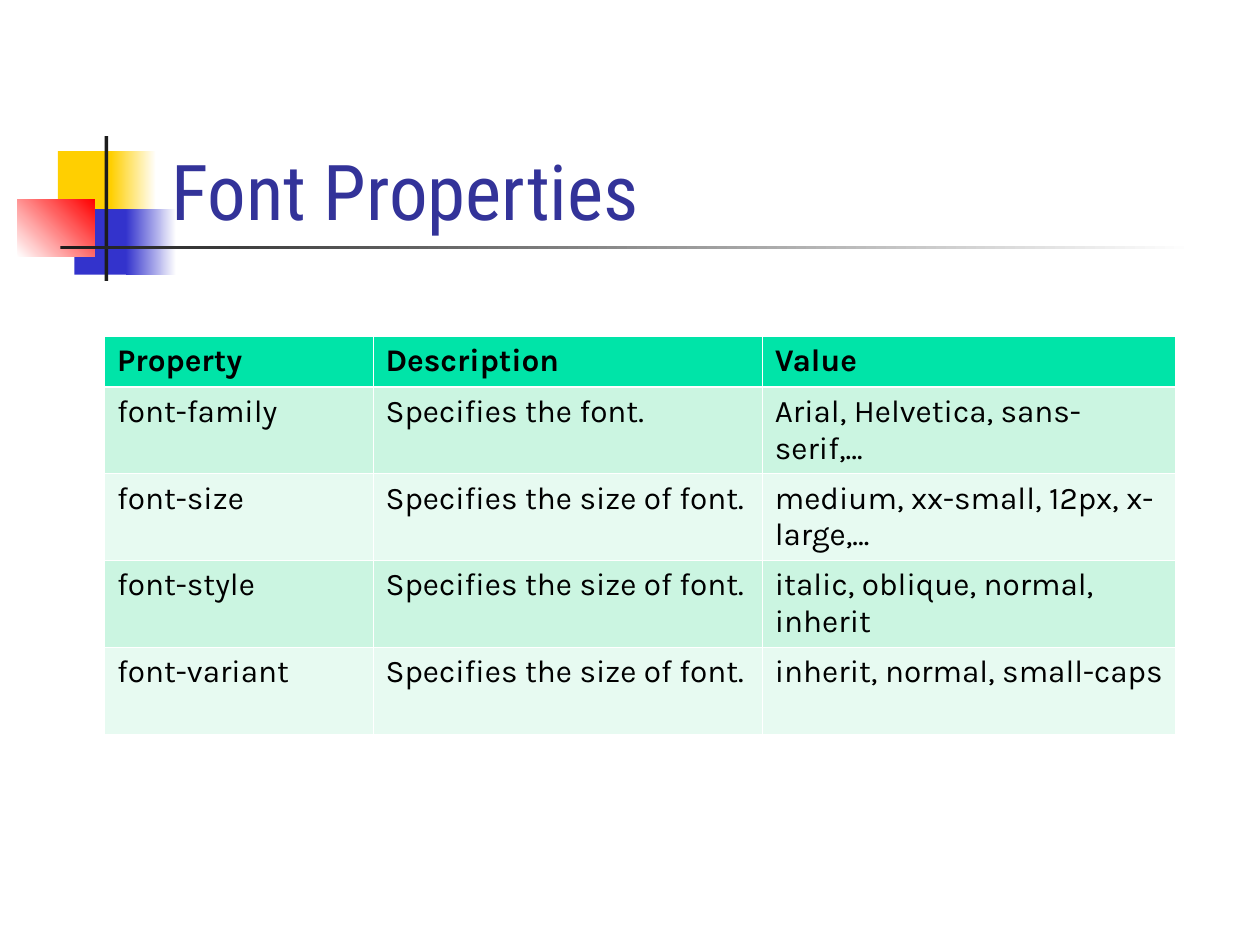
from dataclasses import dataclass

import pptx
import pptx.dml.color
import pptx.enum.shapes
import pptx.enum.text
import pptx.oxml
import pptx.oxml.ns
import pptx.util
from pptx.util import Inches

COLORS = {
    "yellow": "FFCF01", "blue": "3333CC", "red": "FF0000", "dark": "1C1C1C",
    "white": "FFFFFF", "title": "333399", "text": "000000",
    "header": "00E4A8", "odd": "CBF5E1", "even": "E7FAF1",
}
TITLE_FONT = "Roboto Condensed"
BODY_FONT = "Karla"
THIN, THICK = 0.45, 1.47


@dataclass
class Block:
    """A decorative rectangle, shaded from color to fade when fade is set."""
    left: float
    top: float
    width: float
    height: float
    color: str
    fade: str = ""
    angle: float = 0


BLOCKS = [
    Block(0.46, 1.2, 0.48, 0.52, "yellow"),
    Block(0.88, 1.2, 0.36, 0.52, "yellow", "white"),
    Block(0.59, 1.66, 0.46, 0.52, "blue"),
    Block(1, 1.66, 0.4, 0.52, "blue", "white"),
    Block(0.14, 1.58, 0.61, 0.46, "white", "red", 45),
    Block(0.83, 1.08, 0.03, 1.15, "dark"),
    Block(0.48, 1.95, 9, 0.03, "dark", "white"),
]

ROWS = [
    ("Property", "Description", "Value"),
    ("font-family", "Specifies the font.", "Arial, Helvetica, sans-serif,…"),
    ("font-size", "Specifies the size of font.", "medium, xx-small, 12px, x-large,…"),
    ("font-style", "Specifies the size of font.", "italic, oblique, normal, inherit"),
    ("font-variant", "Specifies the size of font.", "inherit, normal, small-caps"),
]
COLUMN_WIDTHS = [2.13, 3.09, 3.28]
ROW_HEIGHTS = [0.4] + [0.69] * 4


def rgb(name: str) -> pptx.dml.color.RGBColor:
    return pptx.dml.color.RGBColor.from_string(COLORS[name])


def style_text(p, font: str, size: float, color: str, bold: bool = False) -> None:
    for r in p.runs:
        r.font.name = font
        r.font.size = pptx.util.Pt(size)
        r.font.bold = bold
        r.font.color.rgb = rgb(color)


def add_block(s, block: Block) -> None:
    sp = s.shapes.add_shape(
        pptx.enum.shapes.MSO_SHAPE.RECTANGLE,
        Inches(block.left), Inches(block.top), Inches(block.width), Inches(block.height))
    sp.shadow.inherit = False
    sp.line.fill.background()
    if block.fade:
        sp.fill.gradient()
        sp.fill.gradient_angle = block.angle
        for stop, color, position in zip(
                sp.fill.gradient_stops, (block.color, block.fade), (0, 1)):
            stop.color.rgb = rgb(color)
            stop.position = position
    else:
        sp.fill.solid()
        sp.fill.fore_color.rgb = rgb(block.color)


def set_title(s, text: str) -> None:
    title = s.shapes.title
    title.left, title.top = Inches(1.26), Inches(0.67)
    title.width, title.height = Inches(8.52), Inches(1.25)
    tf = title.text_frame
    tf.text = text
    tf.auto_size = pptx.enum.text.MSO_AUTO_SIZE.NONE
    tf.vertical_anchor = pptx.enum.text.MSO_ANCHOR.BOTTOM
    p = tf.paragraphs[0]
    p.alignment = pptx.enum.text.PP_ALIGN.LEFT
    style_text(p, TITLE_FONT, 44, "title")
    s.shapes.element.append(title.element)  # bring in front of the blocks


def add_borders(cell, top: float, bottom: float) -> None:
    """Draw white borders; must run before the cell is filled."""
    properties = cell._tc.get_or_add_tcPr()
    for side, width in (("L", THIN), ("R", THIN), ("T", top), ("B", bottom)):
        properties.append(pptx.oxml.parse_xml(
            f'<a:ln{side} {pptx.oxml.ns.nsdecls("a")} w="{pptx.util.Pt(width)}">'
            f'<a:solidFill><a:srgbClr val="{COLORS["white"]}"/></a:solidFill>'
            f'</a:ln{side}>'))


def add_property_table(s) -> None:
    table = s.shapes.add_table(
        len(ROWS), len(COLUMN_WIDTHS), Inches(0.83), Inches(2.67),
        Inches(sum(COLUMN_WIDTHS)), Inches(sum(ROW_HEIGHTS))).table
    for column, width in zip(table.columns, COLUMN_WIDTHS):
        column.width = Inches(width)
    for i, (texts, height) in enumerate(zip(ROWS, ROW_HEIGHTS)):
        table.rows[i].height = Inches(height)
        is_header = i == 0
        fill = "header" if is_header else "odd" if i % 2 else "even"
        for j, text in enumerate(texts):
            cell = table.cell(i, j)
            cell.text_frame.text = text
            style_text(cell.text_frame.paragraphs[0], BODY_FONT, 18, "text", is_header)
            add_borders(cell, THICK if i == 1 else THIN, THICK if is_header else THIN)
            cell.fill.solid()
            cell.fill.fore_color.rgb = rgb(fill)


def main() -> None:
    prs = pptx.Presentation()
    prs.slide_width, prs.slide_height = Inches(10), Inches(7.5)
    s = prs.slides.add_slide(prs.slide_layouts[5])
    for block in BLOCKS:
        add_block(s, block)
    set_title(s, "Font Properties")
    add_property_table(s)
    prs.save("out.pptx")


if __name__ == "__main__":
    main()
